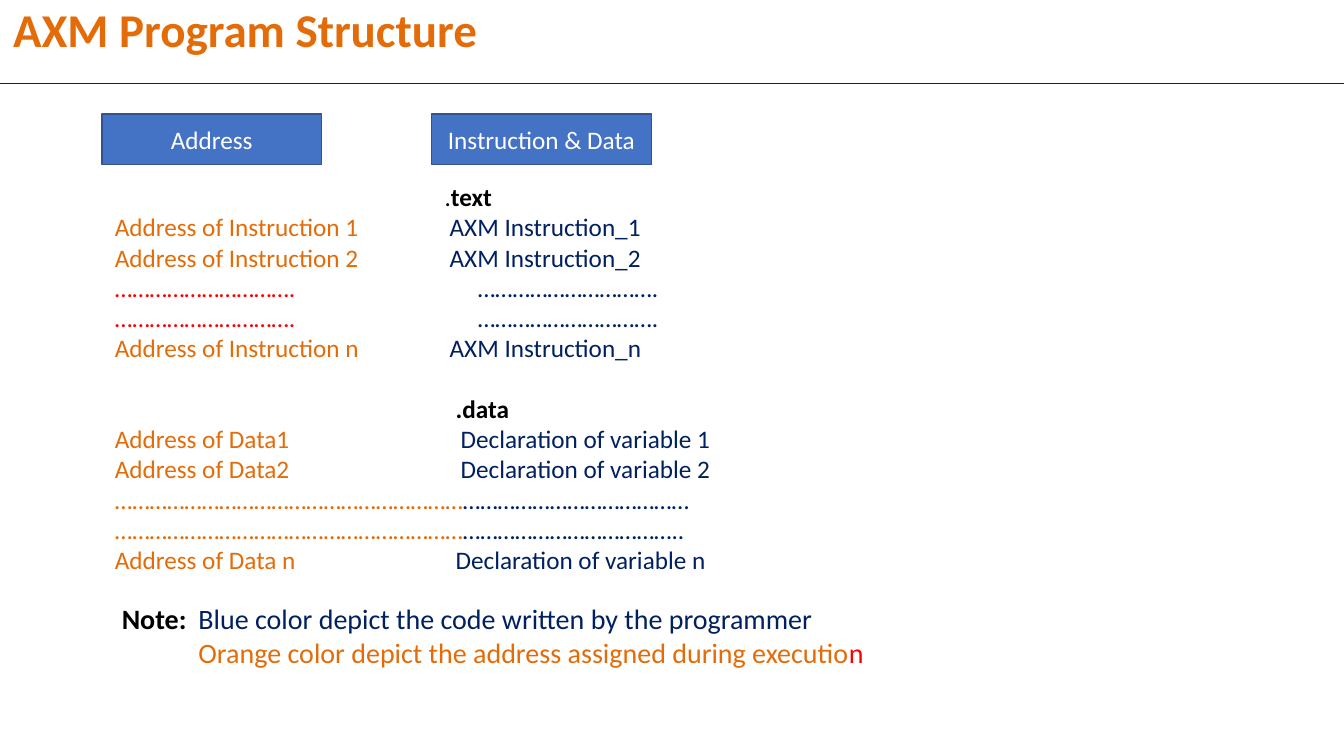
"""Build the AXM program structure slide."""
from lxml import etree
from pptx import Presentation, util as u
from pptx.dml.color import RGBColor
from pptx.enum import shapes, text
from pptx.oxml.ns import qn

PX = 9144
FONT = "Calibri"
ORANGE, NAVY, RED, BLACK = "E36C09", "002060", "FF0000", "000000"
WHITE, BLUE, EDGE = "FFFFFF", "4472C4", "31538F"
PITCH = 21.6

TITLE = [(0, 0, [("AXM Program Structure", ORANGE, True)])]
HEADS = ["Address", "Instruction & Data"]
DOTS = "…" * 10 + "."
LONG = "…" * 20

# Each row: tab stop in px, space before in points, runs of (words, colour, bold)
ROWS = [
    (327, 0, [("\t.", BLACK, False), ("text", BLACK, True)]),
    (332, 0, [("Address of Instruction 1\t", ORANGE, False), ("AXM Instruction_1", NAVY, False)]),
    (332, 0, [("Address of Instruction 2\t", ORANGE, False), ("AXM Instruction_2", NAVY, False)]),
    *[(360, 0, [(DOTS, RED, False), ("\t" + DOTS, NAVY, False)])] * 2,
    (332, 0, [("Address of Instruction n\t", ORANGE, False), ("AXM Instruction_n", NAVY, False)]),
    (338, PITCH, [("\t.data", BLACK, True)]),
    (343, 0, [("Address of Data1\t", ORANGE, False), ("Declaration of variable 1", NAVY, False)]),
    (343, 0, [("Address of Data2\t", ORANGE, False), ("Declaration of variable 2", NAVY, False)]),
    (0, 0, [(LONG, ORANGE, False), ("…………………………………", NAVY, False)]),
    (0, 0, [(LONG, ORANGE, False), ("………………………………..", NAVY, False)]),
    (338, 0, [("Address of Data n\t", ORANGE, False), ("Declaration of variable n", NAVY, False)]),
]
NOTE = [
    (76, 0, [("Note:\t", BLACK, True),
             ("Blue color depict the code written by the programmer", NAVY, False)]),
    (76, 0, [("\tOrange color depict the address assigned during executio", ORANGE, False),
             ("n", RED, False)]),
]


def rgb(code):
    """Turn a hex string into a colour."""
    return RGBColor.from_string(code)


def px(*vals):
    """Turn px lengths into EMU."""
    return [u.Emu(v * PX) for v in vals]


def style(font, size, color, bold=False):
    """Set the look of a font."""
    font.name, font.size, font.bold = FONT, u.Pt(size), bold
    font.color.rgb = rgb(color)


def write(slide, box, rows, size, inset, anchor="TOP", pitch=None):
    """Add a text box with one paragraph per row."""
    frame = slide.shapes.add_textbox(*px(*box)).text_frame
    frame.word_wrap = True
    frame.vertical_anchor = text.MSO_ANCHOR[anchor]
    side, edge = px(*inset)
    frame.margin_left = frame.margin_right = side
    frame.margin_top = frame.margin_bottom = edge
    for i, (tab, gap, runs) in enumerate(rows):
        para = frame.add_paragraph() if i else frame.paragraphs[0]
        if pitch:
            para.line_spacing = u.Pt(pitch)
        para.space_before = u.Pt(gap)
        if tab:
            tabs = etree.SubElement(para._p.get_or_add_pPr(), qn("a:tabLst"))
            etree.SubElement(tabs, qn("a:tab"), pos=str(tab * PX), algn="l")
        for words, color, bold in runs:
            run = para.add_run()
            run.text = words
            style(run.font, size, color, bold)


def head(slide, left, words):
    """Add one column heading."""
    box = slide.shapes.add_shape(shapes.MSO_SHAPE.RECTANGLE, *px(left, 113, 218, 50))
    box.shadow.inherit = False
    box.fill.solid()
    box.fill.fore_color.rgb = rgb(BLUE)
    box.line.color.rgb = rgb(EDGE)
    box.line.width = u.Pt(1)
    frame = box.text_frame
    frame.text = words
    frame.vertical_anchor = text.MSO_ANCHOR.MIDDLE
    para = frame.paragraphs[0]
    para.alignment = text.PP_ALIGN.CENTER
    style(para.runs[0].font, 18, WHITE)


def main():
    """Lay out the slide and save it."""
    deck = Presentation()
    deck.slide_width, deck.slide_height = px(1333, 750)
    slide = deck.slides.add_slide(deck.slide_layouts[6])
    write(slide, (0, 1, 1211, 55), TITLE, 33.6, (13, 0), "MIDDLE")
    write(slide, (101, 173, 653, 402), ROWS, 18, (13, 7), pitch=PITCH)
    rule = slide.shapes.add_connector(shapes.MSO_CONNECTOR.STRAIGHT, *px(0, 83, 1333, 83))
    rule.line.color.rgb = rgb(NAVY)
    rule.line.width = u.Pt(1)
    etree.SubElement(rule._element.spPr, qn("a:effectLst"))
    write(slide, (111, 592, 1050, 77), NOTE, 20, (10, 5))
    for i, words in enumerate(HEADS):
        head(slide, 101 + 327 * i, words)
    deck.save("out.pptx")


if __name__ == "__main__":
    main()
